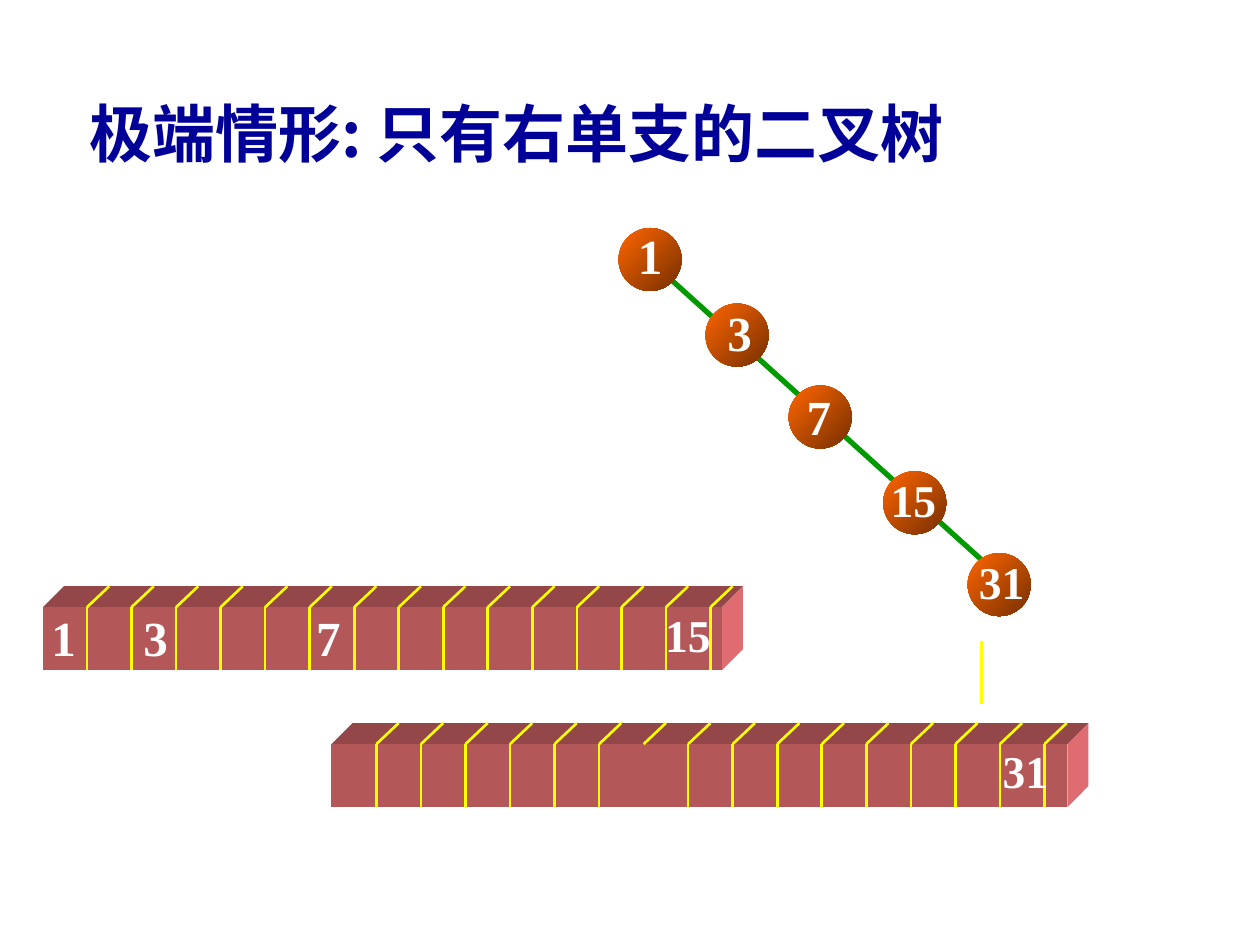
from pptx import Presentation
from pptx.util import Pt
from pptx.dml.color import RGBColor
from pptx.enum.shapes import MSO_SHAPE as Shape, MSO_CONNECTOR as Connector
from pptx.enum.text import PP_ALIGN as Align, MSO_ANCHOR as Anchor, MSO_AUTO_SIZE as AutoSize
from pptx.oxml.ns import qn
from lxml.etree import SubElement

TITLE = "极端情形: 只有右单支的二叉树"
TITLE_FONT, NUMBER_FONT = "Noto Sans CJK SC", "Times New Roman"
NODE_SIZE, BAR_HEIGHT, DEPTH = 36, 36, 12
CELL, SLANT = 25.45, 12.7
YELLOW = "FFFF00"

NODES = [
    {"at": (353.5, 130.3), "label": ("1", 357.1, 125.3, 28.8, 28)},
    {"at": (403.2, 173.5), "label": ("3", 408.2, 169.2, 28.8, 28)},
    {"at": (450.7, 220.3), "label": ("7", 453.6, 217.4, 28.8, 28)},
    {"at": (504.7, 269.3), "label": ("15", 501.8, 266.4, 40.3, 26)},
    {"at": (553, 316.1), "label": ("31", 552.2, 313.2, 40.3, 26)},
]
BARS = [
    {"left": 24.5, "top": 347, "width": 388, "first": 49.7, "marks": 15, "open": (),
     "labels": [("1", 22.3, 343.4, 30.2, 28), ("3", 74.9, 343.4, 30.2, 28),
                ("7", 173.5, 343.4, 30.2, 28), ("15", 373, 343.4, 43.2, 26)]},
    {"left": 189.4, "top": 425.2, "width": 420.6, "first": 215.1, "marks": 16, "open": (6,),
     "labels": [("31", 565.9, 421.2, 43.2, 26)]},
]


def color(value):
    return RGBColor.from_string(value)


def write(frame, text, *, size, font, fill, align, wrap=False, spacing=None):
    frame.word_wrap = wrap
    frame.auto_size = AutoSize.NONE
    frame.vertical_anchor = Anchor.MIDDLE
    para = frame.paragraphs[0]
    para.alignment = align
    para.line_spacing = spacing
    span = para.add_run()
    span.text = text
    span.font.size = Pt(size)
    span.font.bold = True
    span.font.name = font
    span.font.color.rgb = color(fill)
    SubElement(span.font._element, qn("a:ea")).set("typeface", font)


def add_label(page, label, align):
    text, left, top, width, size = label
    height = 41 if size == 28 else 38.2
    box = page.shapes.add_textbox(Pt(left), Pt(top), Pt(width), Pt(height))
    write(box.text_frame, text, size=size, font=NUMBER_FONT, fill="FFFFFF", align=align)


def add_line(page, start, end, stroke, width):
    ends = [Pt(value) for value in (*start, *end)]
    line = page.shapes.add_connector(Connector.STRAIGHT, *ends)
    line.line.color.rgb = color(stroke)
    line.line.width = Pt(width)
    SubElement(line._element.spPr, qn("a:effectLst"))


def add_face(page, points, fill):
    corners = [(Pt(x), Pt(y)) for x, y in points]
    builder = page.shapes.build_freeform(*corners[0])
    builder.add_line_segments(corners[1:], close=True)
    face = builder.convert_to_shape()
    face.shadow.inherit = False
    face.fill.solid()
    face.fill.fore_color.rgb = color(fill)
    face.line.fill.background()


def add_node(page, left, top):
    node = page.shapes.add_shape(Shape.OVAL, Pt(left), Pt(top), Pt(NODE_SIZE), Pt(NODE_SIZE))
    node.shadow.inherit = False
    node.line.fill.background()
    node.fill.gradient()
    node.fill.gradient_angle = 315
    for stop, shade, position in zip(node.fill.gradient_stops, ("FF6600", "762F00"), (0, 1)):
        stop.color.rgb = color(shade)
        stop.position = position


def add_bar(page, bar):
    left, top = bar["left"], bar["top"]
    right, bottom, back = left + bar["width"], top + BAR_HEIGHT, top - DEPTH
    add_face(page, [(left, top), (left + DEPTH, back), (right + DEPTH, back), (right, top)], "934749")
    add_face(page, [(right, top), (right + DEPTH, back),
                    (right + DEPTH, bottom - DEPTH), (right, bottom)], "DF6C70")
    add_face(page, [(left, top), (right, top), (right, bottom), (left, bottom)], "B35759")
    for index in range(bar["marks"]):
        x = bar["first"] + index * CELL
        if index not in bar["open"]:
            add_line(page, (x, top), (x, bottom), YELLOW, 1.5)
        add_line(page, (x, top), (x + SLANT, back), YELLOW, 1.5)
    for label in bar["labels"]:
        add_label(page, label, Align.LEFT)


def main():
    deck = Presentation()
    deck.slide_width, deck.slide_height = Pt(720), Pt(540)
    page = deck.slides.add_slide(deck.slide_layouts[5])

    title = page.shapes.title
    title.left, title.top, title.width, title.height = Pt(42.5), Pt(54), Pt(505.4), Pt(50.4)
    write(title.text_frame, TITLE, size=36, font=TITLE_FONT, fill="000099",
          align=Align.CENTER, wrap=True, spacing=0.81)

    add_line(page, (378.7, 155.5), (571, 329), "009900", 3)
    for node in NODES:
        add_node(page, *node["at"])
        add_label(page, node["label"], Align.CENTER)

    for bar in BARS:
        add_bar(page, bar)
    add_line(page, (561, 366.5), (561, 402.5), YELLOW, 1.5)
    deck.save("out.pptx")


if __name__ == "__main__":
    main()
